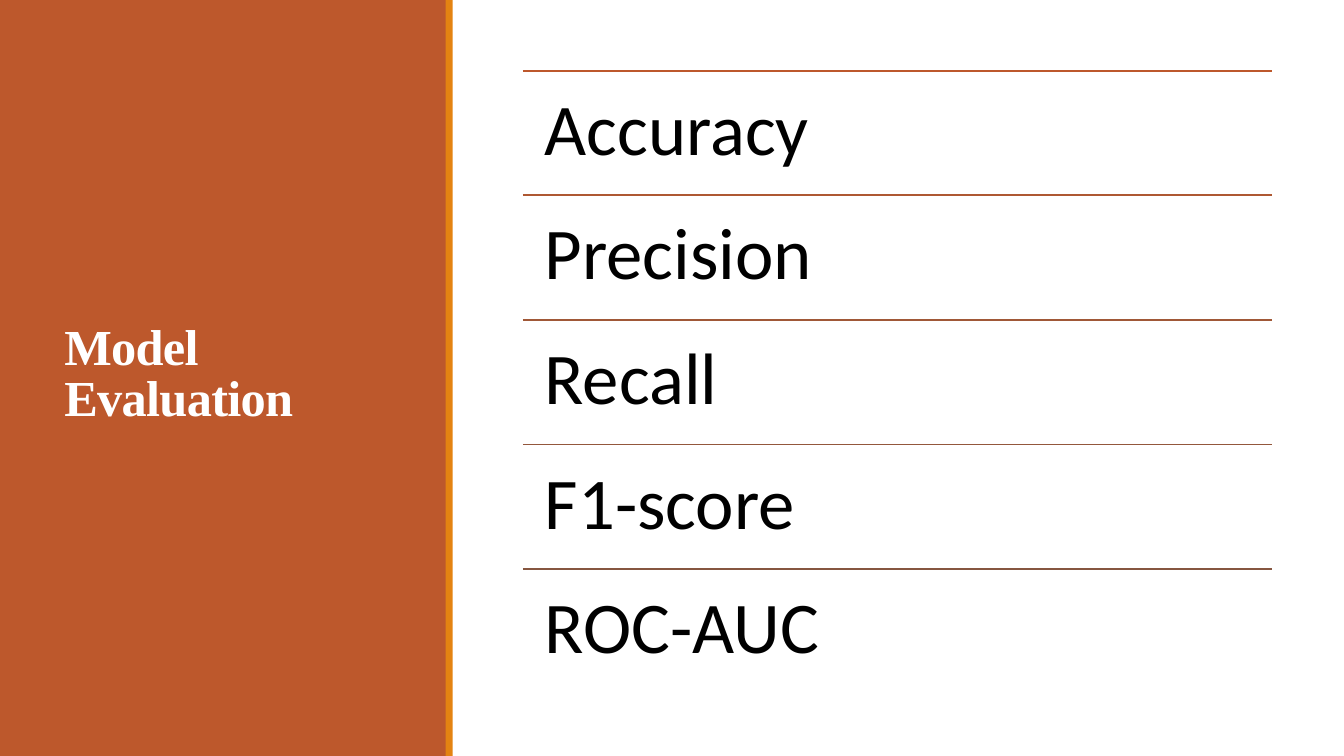
from pptx import Presentation
from pptx.dml.color import RGBColor
from pptx.enum import shapes, text
from pptx.util import Cm, Pt

RUST = RGBColor(0xBD, 0x58, 0x2C)
AMBER = RGBColor(0xE4, 0x83, 0x12)
WHITE = RGBColor(0xFF, 0xFF, 0xFF)
BLACK = RGBColor(0, 0, 0)
ROWS = [
    ("Accuracy", RUST),
    ("Precision", RGBColor(0xAE, 0x58, 0x32)),
    ("Recall", RGBColor(0xA0, 0x58, 0x37)),
    ("F1-score", RGBColor(0x93, 0x57, 0x3C)),
    ("ROC-AUC", RGBColor(0x86, 0x56, 0x40)),
]


def write(shape, words, size, font, color, bold=False, space=0.9,
          anchor=text.MSO_ANCHOR.TOP, inset=0.25):
    """Fill the shape with one left-aligned paragraph and return its run."""
    frame = shape.text_frame
    frame.word_wrap = True
    frame.auto_size = text.MSO_AUTO_SIZE.NONE
    frame.vertical_anchor = anchor
    frame.margin_left = frame.margin_right = Cm(inset)
    frame.margin_top = frame.margin_bottom = Cm(inset)
    para = frame.paragraphs[0]
    para.alignment = text.PP_ALIGN.LEFT
    para.line_spacing = space
    run = para.add_run()
    run.text = words
    run.font.size = Pt(size)
    run.font.name = font
    run.font.bold = bold
    run.font.color.rgb = color
    return run


prs = Presentation()
prs.slide_width, prs.slide_height = Cm(33.87), Cm(19.05)
slide = prs.slides.add_slide(prs.slide_layouts[5])
tree = slide.shapes

# Side panel with its accent stripe
for left, width, color in [(0, 11.25, RUST), (11.23, 0.18, AMBER)]:
    panel = tree.add_shape(shapes.MSO_SHAPE.RECTANGLE,
                           Cm(left), 0, Cm(width), prs.slide_height)
    panel.shadow.inherit = False
    panel.fill.solid()
    panel.fill.fore_color.rgb = color
    panel.line.fill.background()

# Title, brought in front of the panel
title = tree.title
title.left, title.top, title.width, title.height = (
    Cm(1.37), Cm(1.45), Cm(8.56), Cm(16.03))
run = write(title, "Model Evaluation", 36, "Times New Roman", WHITE,
            bold=True, space=0.85, anchor=text.MSO_ANCHOR.MIDDLE)
run.font._element.set("spc", "-50")
panel._element.addnext(title._element)

# Metrics, each under a rule
LEFT, TOP, WIDTH, STEP = 13.18, 1.78, 18.87, 3.14
for i, (metric, color) in enumerate(ROWS):
    y = Cm(TOP + i * STEP)
    rule = tree.add_connector(shapes.MSO_CONNECTOR.STRAIGHT,
                              Cm(LEFT), y, Cm(LEFT + WIDTH), y)
    rule.line.color.rgb = color
    rule.line.width = Pt(1.25)
    props = rule._element.spPr
    props.append(props.makeelement(
        "{http://schemas.openxmlformats.org/drawingml/2006/main}effectLst", {}))
    box = tree.add_textbox(Cm(LEFT), y, Cm(WIDTH), Cm(STEP))
    write(box, metric, 52, "Calibri", BLACK, inset=0.55)

prs.save("out.pptx")
